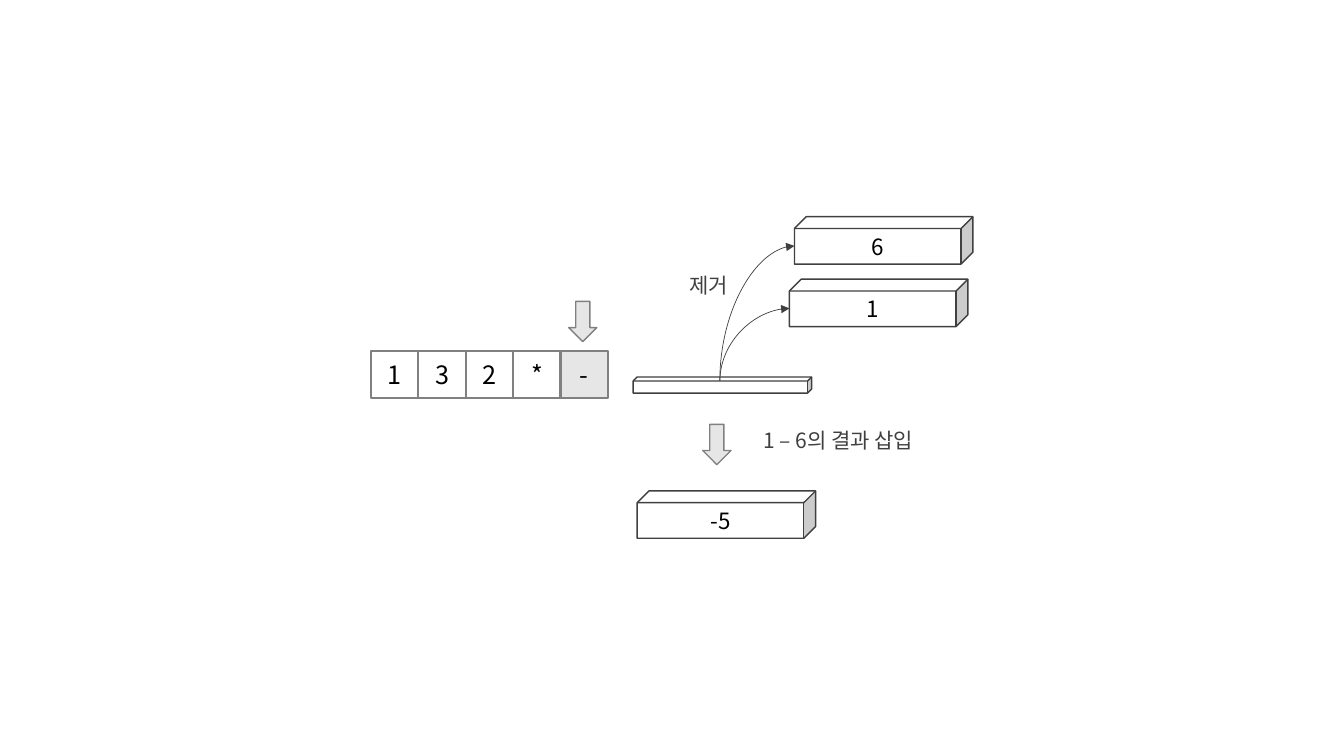
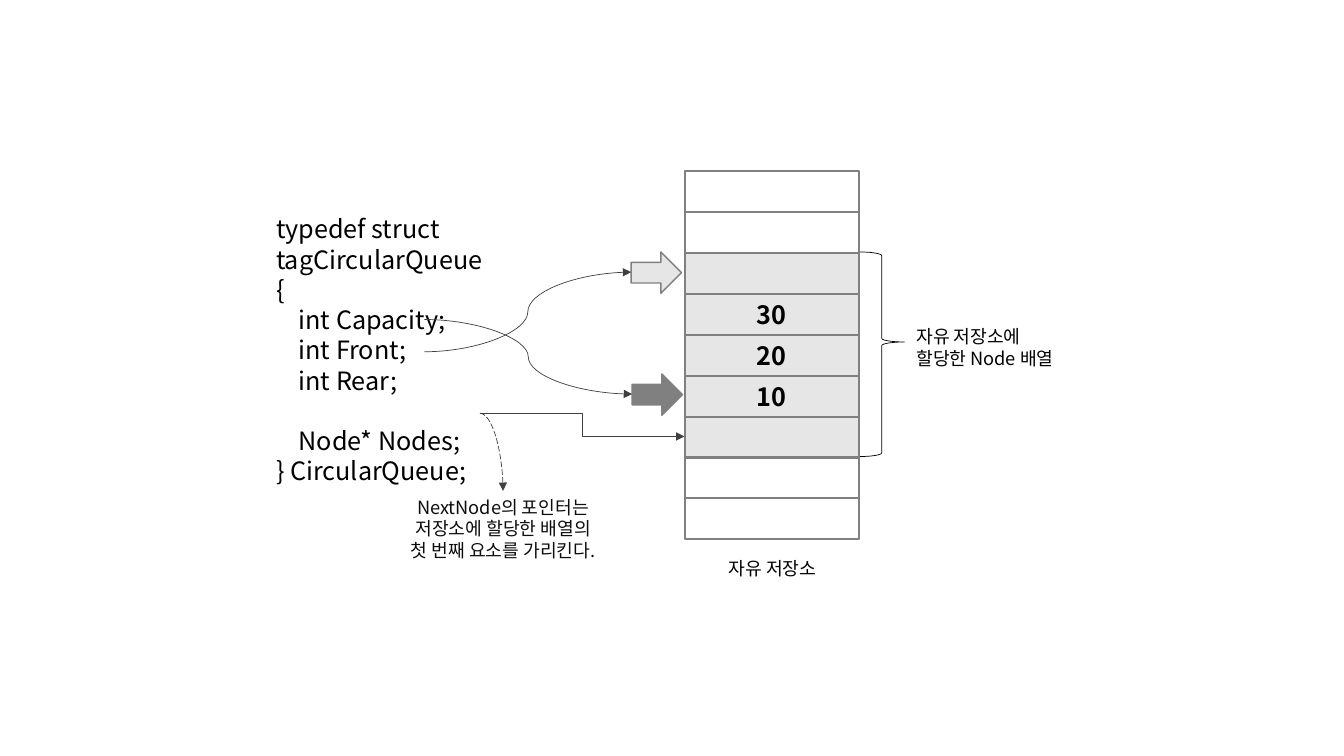
from lxml import etree
from pptx import Presentation, util as u
from pptx.dml.color import RGBColor
from pptx.enum import dml, shapes, text
from pptx.oxml.ns import qn

COLORS = {
    "white": "FFFFFF", "light": "E7E6E6", "gray": "808080",
    "dark": "404040", "ink": "0D0D0D", "black": "000000",
}
FONT = "Noto Sans CJK KR"
SHAPE = shapes.MSO_SHAPE
ALIGN = text.PP_ALIGN
CUBE_TOP, CUBE_LEFT, BOX_TOP, BOX_LEFT = 1, 2, 0, 1


def rgb(name):
    return RGBColor.from_string(COLORS[name])


def apply(target, values):
    for name, value in values.items():
        setattr(target, name, value)


def write(tf, lines, size, color="black", align=ALIGN.CENTER, bold=None):
    for i, line in enumerate(lines):
        p = tf.paragraphs[0] if i == 0 else tf.add_paragraph()
        p.alignment = align
        r = p.add_run()
        r.text = line
        apply(r.font, {"name": FONT, "size": u.Pt(size), "bold": bold})
        r.font.color.rgb = rgb(color)
        etree.SubElement(r.font._element, qn("a:ea"), typeface=FONT)


def add_box(s, kind, at, fill, line, width, label=None, size=18, bold=None):
    sp = s.shapes.add_shape(kind, *map(u.Inches, at))
    sp.shadow.inherit = False
    if fill:
        sp.fill.solid()
        sp.fill.fore_color.rgb = rgb(fill)
    else:
        sp.fill.background()
    sp.line.color.rgb = rgb(line)
    sp.line.width = u.Pt(width)
    if label:
        sp.text_frame.vertical_anchor = text.MSO_ANCHOR.MIDDLE
        write(sp.text_frame, [label], size, bold=bold)
    return sp


def add_cell(s, at, fill, label=None, bold=None):
    return add_box(s, SHAPE.RECTANGLE, at, fill, "gray", 1.5, label, bold=bold)


def add_cube(s, x, y, label=None, height=0.47):
    return add_box(s, SHAPE.CUBE, (x, y, 1.77, height), "white", "dark", 1, label, 16)


def add_arrow(s, kind, at, fill="light"):
    return add_box(s, kind, at, fill, "gray", 1)


def add_label(s, at, lines, size, color="black", align=ALIGN.CENTER):
    sp = s.shapes.add_textbox(*map(u.Inches, at))
    apply(sp.text_frame, {"word_wrap": True,
                          "auto_size": text.MSO_AUTO_SIZE.SHAPE_TO_FIT_TEXT})
    write(sp.text_frame, lines, size, color, align)
    return sp


def add_link(s, start, end, target, site, kind="curvedConnector3",
             source=None, upward=False, dash=None):
    (x1, y1), (x2, y2) = start, end
    if upward:
        cx, cy = (x1 + x2) / 2, (y1 + y2) / 2
        dx, dy = (x2 - x1) / 2, (y2 - y1) / 2
        x1, y1, x2, y2 = cx - dy, cy + dx, cx + dy, cy - dx
    c = s.shapes.add_connector(shapes.MSO_CONNECTOR.CURVE,
                               *map(u.Inches, (x1, y1, x2, y2)))
    sp_pr = c._element.spPr
    sp_pr.find(qn("a:prstGeom")).set("prst", kind)
    if upward:
        sp_pr.find(qn("a:xfrm")).set("rot", "5400000")
    c.line.color.rgb = rgb("dark")
    apply(c.line, {"width": u.Pt(0.5), "dash_style": dash})
    etree.SubElement(sp_pr.find(qn("a:ln")), qn("a:tailEnd"), type="triangle")
    etree.SubElement(sp_pr, qn("a:effectLst"))
    if source is not None:
        c._connect_begin_to(source, CUBE_TOP)
    c._connect_end_to(target, site)


def build_stack(s):
    side = 0.47
    for i, token in enumerate("132*-"):
        add_cell(s, (3.68 + i * side, 3.48, side, side),
                 "light" if token == "-" else "white", token)
    stack = add_cube(s, 6.28, 3.74, height=0.16)
    for x, y in ((5.64, 2.99), (6.97, 4.21)):
        add_arrow(s, SHAPE.DOWN_ARROW, (x, y, 0.28, 0.4))
    for x, y, value in ((7.83, 2.77, "1"), (7.88, 2.15, "6")):
        popped = add_cube(s, x, y, value)
        add_link(s, (7.14, 3.78), (x, y + 0.29), popped, CUBE_LEFT,
                 "curvedConnector2", stack, upward=True)
    add_cube(s, 6.32, 4.87, "-5")
    add_label(s, (6.72, 2.65, 0.62, 0.35), ["제거"], 15, "dark")
    add_label(s, (7.37, 4.19, 1.89, 0.35), ["1 – 6의 결과 삽입"], 15, "dark")


def build_queue(s):
    code = add_label(s, (2.64, 2.07, 3.87, 2.52), [
        "typedef struct tagCircularQueue", "{", "    int Capacity;",
        "    int Front;", "    int Rear;", "    Node* Nodes;",
        "} CircularQueue;"], 18, align=ALIGN.LEFT)
    code.text_frame.paragraphs[5].space_before = u.Pt(21.6)
    add_label(s, (7.07, 5.48, 1.18, 0.32), ["자유 저장소"], 13)
    add_label(s, (8.99, 3.18, 1.75, 0.54),
              ["자유 저장소에", "할당한 Node 배열"], 13, align=ALIGN.LEFT)
    note = add_label(s, (3.86, 4.87, 2.26, 0.76), [
        "NextNode의 포인터는", "저장소에 할당한 배열의",
        "첫 번째 요소를 가리킨다."], 13, "ink")
    brace = add_box(s, SHAPE.RIGHT_BRACE, (8.52, 2.5, 0.45, 2.03), None, "black", 0.5)
    brace.adjustments[0], brace.adjustments[1] = 0.08, 0.44

    values = {3: "30", 4: "20", 5: "10"}
    height = 3.65 / 9
    cells = [add_cell(s, (6.79, 1.7 + i * height, 1.73, height),
                      "light" if 2 <= i <= 6 else "white", values.get(i), True)
             for i in range(9)]

    for x, y, fill, start_y in ((6.26, 2.7, "light", 3.49), (6.27, 3.91, "gray", 3.17)):
        pointer = add_arrow(s, SHAPE.RIGHT_ARROW, (x, y - 0.2, 0.5, 0.41), fill)
        add_link(s, (4.21, start_y), (x, y), pointer, BOX_LEFT)
    nodes = (4.76, 4.1)
    add_link(s, nodes, (6.79, 4.33), cells[6], BOX_LEFT, "bentConnector3")
    add_link(s, nodes, (4.99, 4.87), note, BOX_TOP, "curvedConnector2",
             dash=dml.MSO_LINE.LONG_DASH)


def main():
    prs = Presentation()
    apply(prs, {"slide_width": u.Inches(13.33), "slide_height": u.Inches(7.5)})
    for build in (build_stack, build_queue):
        build(prs.slides.add_slide(prs.slide_layouts[6]))
    prs.save("out.pptx")


if __name__ == "__main__":
    main()
